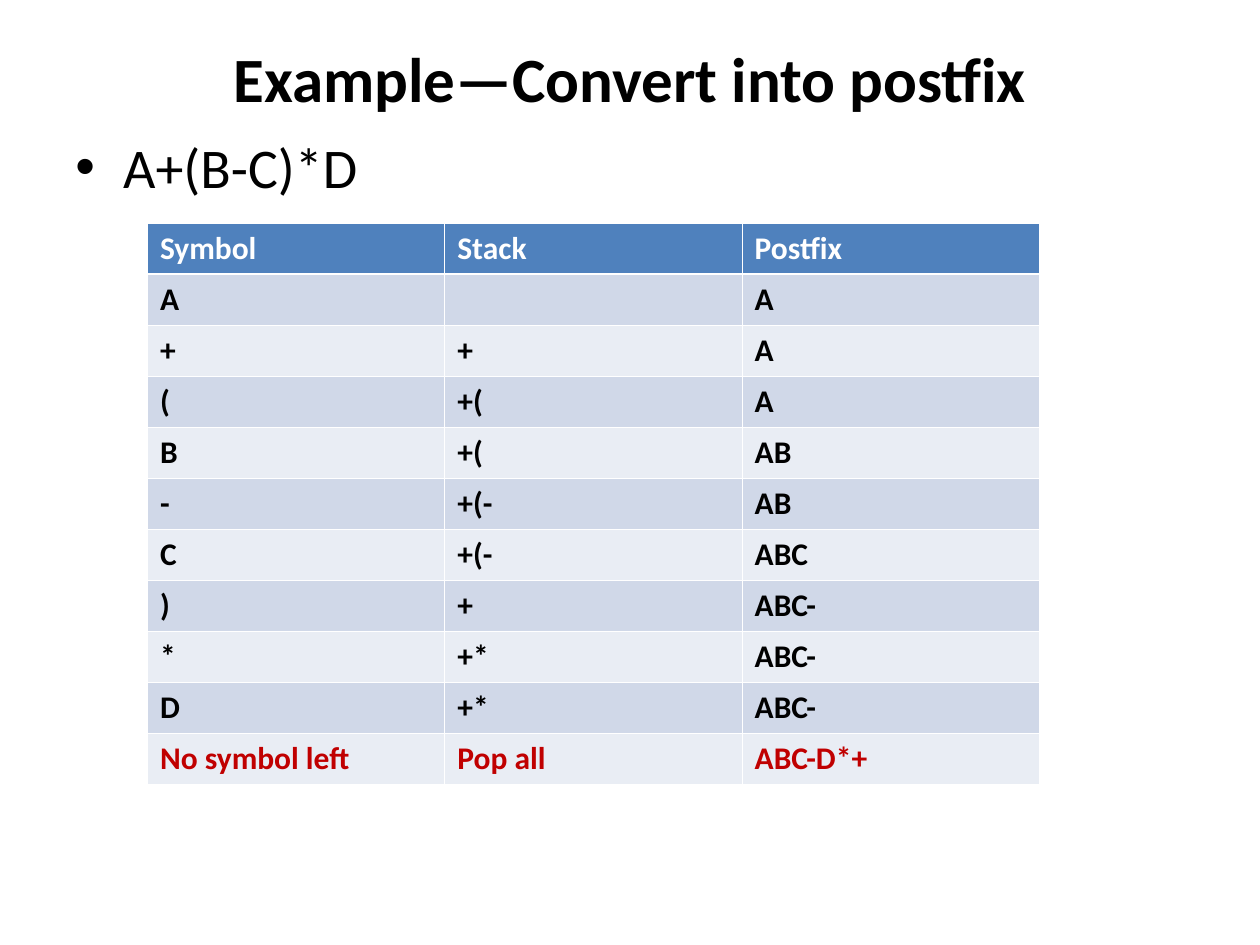
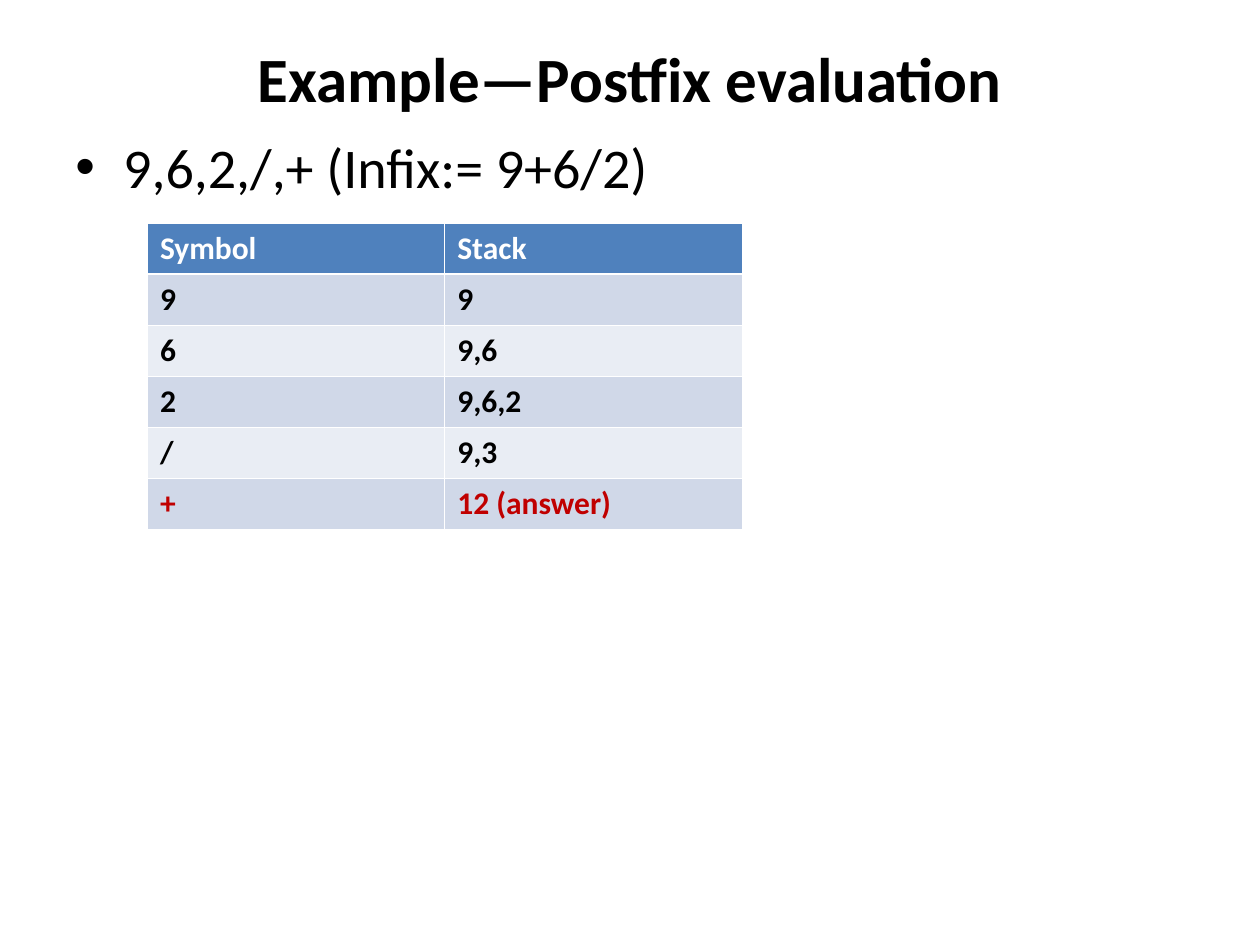
from dataclasses import dataclass

from lxml.etree import SubElement
from pptx import Presentation
from pptx.dml.color import RGBColor
from pptx.enum.text import MSO_ANCHOR, PP_ALIGN
from pptx.oxml import parse_xml
from pptx.oxml.ns import nsdecls, qn
from pptx.util import Inches, Pt

FONT = "Calibri"
BLACK, WHITE, RED = "000000", "FFFFFF", "C00000"
HEADER_FILL = "4F81BD"
BAND_FILLS = ("E9EDF4", "D0D8E8")
THIN, THICK = 0.45, 1.47
COL_W = Inches(2.36)
ROW_H = Inches(4.46) // 11


@dataclass
class Example:
    title: str
    expression: str
    rows: list[tuple[str, ...]]


EXAMPLES = [
    Example("Example—Convert into postfix", "A+(B-C)*D", [
        ("Symbol", "Stack", "Postfix"),
        ("A", "", "A"),
        ("+", "+", "A"),
        ("(", "+(", "A"),
        ("B", "+(", "AB"),
        ("-", "+(-", "AB"),
        ("C", "+(-", "ABC"),
        (")", "+", "ABC-"),
        ("*", "+*", "ABC-"),
        ("D", "+*", "ABC-"),
        ("No symbol left", "Pop all", "ABC-D*+"),
    ]),
    Example("Example—Postfix evaluation", "9,6,2,/,+ (Infix:= 9+6/2)", [
        ("Symbol", "Stack"),
        ("9", "9"),
        ("6", "9,6"),
        ("2", "9,6,2"),
        ("/", "9,3"),
        ("+", "12 (answer)"),
    ]),
]


def rgb(color: str) -> RGBColor:
    return RGBColor.from_string(color)


def style_text(p, size: float, color: str, bold: bool = False) -> None:
    for r in p.runs:
        r.font.name = FONT
        r.font.size = Pt(size)
        r.font.bold = bold
        r.font.color.rgb = rgb(color)


def add_text(s, text: str, top: float, height: float):
    tf = s.shapes.add_textbox(Inches(0.5), Inches(top), Inches(9), Inches(height)).text_frame
    tf.word_wrap = True
    tf.text = text
    return tf


def add_title(s, text: str) -> None:
    tf = add_text(s, text, 0.3, 0.62)
    tf.vertical_anchor = MSO_ANCHOR.MIDDLE
    p = tf.paragraphs[0]
    p.alignment = PP_ALIGN.CENTER
    style_text(p, 36, BLACK, True)


def add_expression(s, text: str) -> None:
    p = add_text(s, text, 1, 6.17).paragraphs[0]
    pPr = p._p.get_or_add_pPr()
    pPr.set("marL", str(Inches(0.38)))
    pPr.set("indent", str(-Inches(0.38)))
    SubElement(pPr, qn("a:buFont"), typeface="Arial")
    SubElement(pPr, qn("a:buChar"), char="•")
    style_text(p, 32, BLACK)


def set_borders(cell, top: float, bottom: float) -> None:
    tcPr = cell._tc.get_or_add_tcPr()
    widths = {"lnL": THIN, "lnR": THIN, "lnT": top, "lnB": bottom}
    for i, (side, width) in enumerate(widths.items()):
        tcPr.insert(i, parse_xml(
            f'<a:{side} {nsdecls("a")} w="{Pt(width)}"><a:solidFill>'
            f'<a:srgbClr val="{WHITE}"/></a:solidFill></a:{side}>'))


def add_trace_table(s, rows: list[tuple[str, ...]]) -> None:
    n_rows, n_cols = len(rows), len(rows[0])
    table = s.shapes.add_table(n_rows, n_cols, Inches(1.17), Inches(1.77),
                               COL_W * n_cols, ROW_H * n_rows).table
    for i, row in enumerate(rows):
        fill = BAND_FILLS[i % 2] if i else HEADER_FILL
        color = WHITE if i == 0 else RED if i == n_rows - 1 else BLACK
        for j, text in enumerate(row):
            cell = table.cell(i, j)
            cell.text = text
            style_text(cell.text_frame.paragraphs[0], 18, color, True)
            cell.fill.solid()
            cell.fill.fore_color.rgb = rgb(fill)
            set_borders(cell, THICK if i == 1 else THIN, THICK if i == 0 else THIN)


def main() -> None:
    prs = Presentation()
    prs.slide_width, prs.slide_height = Inches(10), Inches(7.5)
    for example in EXAMPLES:
        s = prs.slides.add_slide(prs.slide_layouts[6])
        add_title(s, example.title)
        add_expression(s, example.expression)
        add_trace_table(s, example.rows)
    prs.save("out.pptx")


if __name__ == "__main__":
    main()
